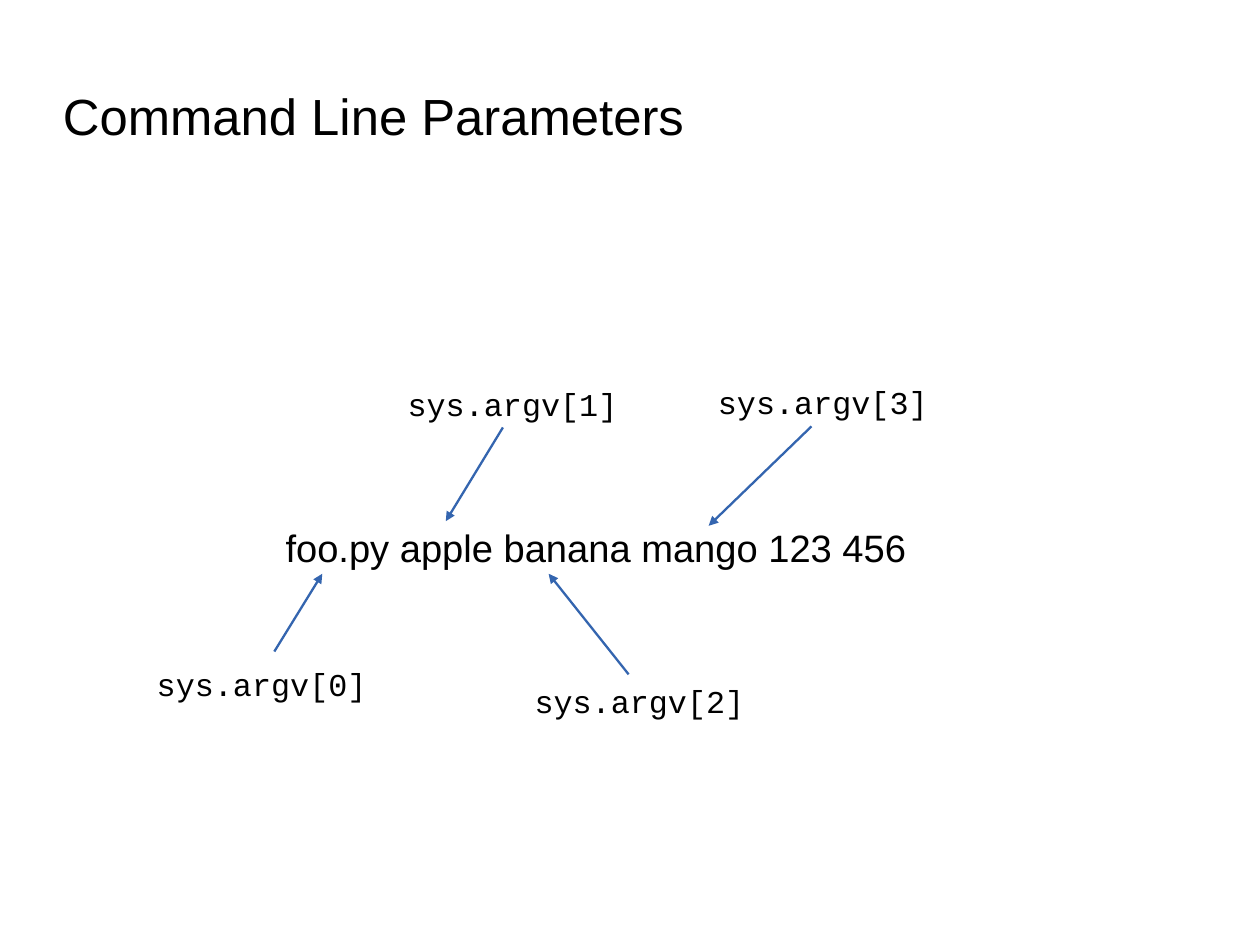
from lxml.etree import SubElement
from pptx import Presentation
from pptx.dml.color import RGBColor
from pptx.enum.shapes import MSO_CONNECTOR
from pptx.enum.text import MSO_ANCHOR, PP_ALIGN
from pptx.oxml.ns import qn
from pptx.util import Cm, Inches, Pt

# Content
TITLE = "Command Line Parameters"
COMMAND = "foo.py apple banana mango 123 456"
# label, box (left, top, width), arrow tip at the word, arrow tail at the label
ARGUMENTS = [
    ("sys.argv[0]", (1.14, 5.77, 2.3), (2.82, 5.02), (2.4, 5.7)),
    ("sys.argv[1]", (3.5, 3.32, 1.97), (3.9, 4.56), (4.4, 3.74)),
    ("sys.argv[2]", (4.4, 5.92, 2.39), (4.8, 5.02), (5.5, 5.9)),
    ("sys.argv[3]", (6.1, 3.31, 2.2), (6.2, 4.6), (7.1, 3.73)),
]
LABEL_HEIGHT = 0.41
BLACK, BLUE = "000000", "3465AF"


def color(value):
    return RGBColor.from_string(value)


def place(shape, left, top, width, height):
    shape.left, shape.top = Inches(left), Inches(top)
    shape.width, shape.height = Inches(width), Inches(height)


def write(shape, text, size, font="Arial", align=PP_ALIGN.LEFT, spacing=0.93,
          anchor=MSO_ANCHOR.TOP, insets=(0.1, 0.07, 0.1, 0.05)):
    tf = shape.text_frame
    tf.word_wrap = True
    tf.vertical_anchor = anchor
    (tf.margin_left, tf.margin_top,
     tf.margin_right, tf.margin_bottom) = map(Inches, insets)
    p = tf.paragraphs[0]
    p.alignment, p.line_spacing = align, spacing
    p.space_before = Pt(0)
    r = p.add_run()
    r.text = text
    r.font.size, r.font.name = Pt(size), font
    r.font.color.rgb = color(BLACK)


def add_arrow(s, tail, tip):
    arrow = s.shapes.add_connector(MSO_CONNECTOR.STRAIGHT,
                                   *map(Inches, tail + tip))
    arrow.line.color.rgb = color(BLUE)
    arrow.line.width = Pt(1.45)
    props = arrow._element.spPr
    SubElement(props.find(qn("a:ln")), qn("a:tailEnd"), type="triangle")
    SubElement(props, qn("a:effectLst"))


prs = Presentation()
prs.slide_width, prs.slide_height = Cm(28), Cm(21)
s = prs.slides.add_slide(prs.slide_layouts[5])

# Title
place(s.shapes.title, 0.55, 0.63, 7.87, 0.79)
write(s.shapes.title, TITLE, 32, anchor=MSO_ANCHOR.MIDDLE,
      insets=(0, 0.03, 0, 0))

# Labels, each with an arrow to its word
for label, (left, top, width), tip, tail in ARGUMENTS:
    box = s.shapes.add_textbox(*map(Inches, (left, top, width, LABEL_HEIGHT)))
    write(box, label, 20, font="Courier New", align=PP_ALIGN.CENTER,
          spacing=0.94, insets=(0.05, 0.07, 0.05, 0.05))
    add_arrow(s, tail, tip)

# Command line
box = s.shapes.add_textbox(*map(Inches, (2.4, 4.55, 5.8, 0.47)))
write(box, COMMAND, 24)

prs.save("out.pptx")
